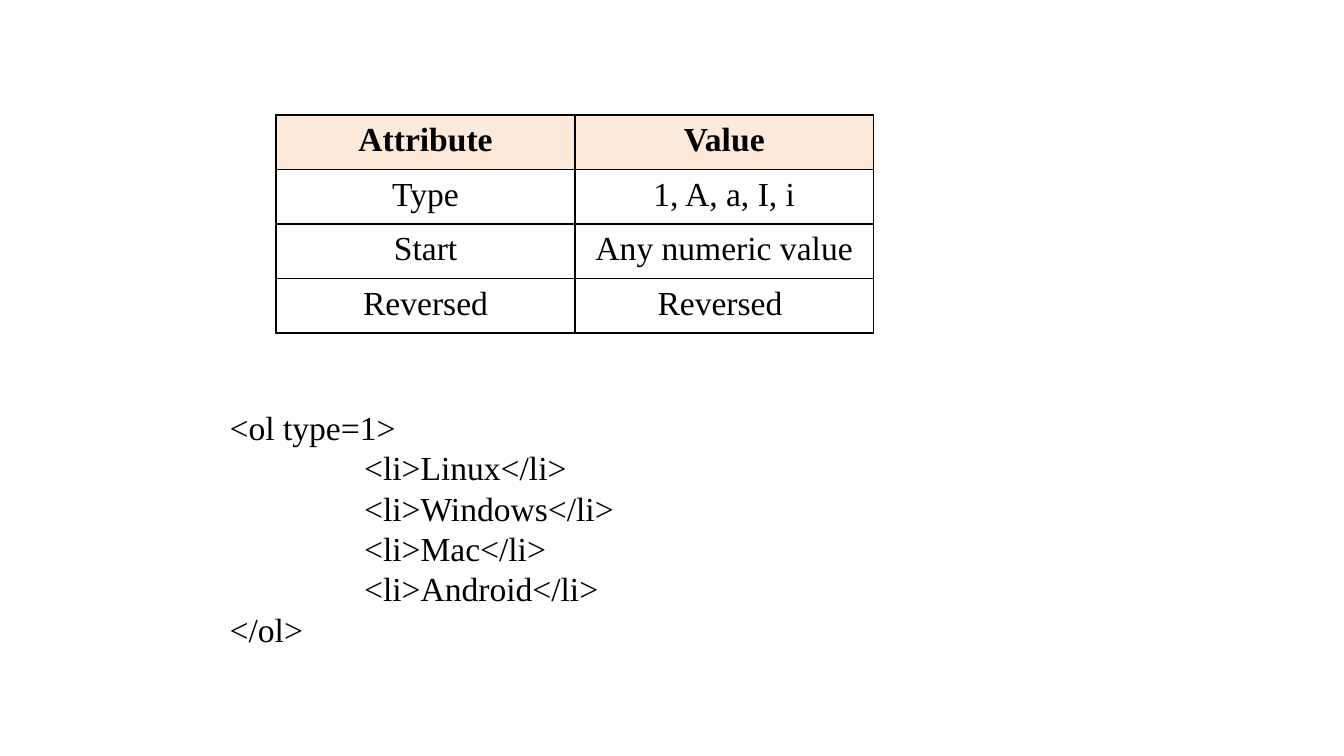
"""Build a slide on the attributes of ordered lists in HTML."""
import dataclasses

import lxml.etree
import pptx
import pptx.dml.color
import pptx.enum.text
import pptx.oxml.ns
import pptx.util


@dataclasses.dataclass(frozen=True)
class Theme:
    """Hold the colours, font and sizes of the slide."""
    font: str = "Times New Roman"
    size: int = 18
    ink: str = "000000"
    header: str = "FDEADA"
    border: float = 1


THEME = Theme()
ATTRIBUTES = [
    ("Attribute", "Value"),
    ("Type", "1, A, a, I, i"),
    ("Start", "Any numeric value"),
    ("Reversed", "Reversed "),
]
CODE = """<ol type=1>
\t<li>Linux</li>
\t<li>Windows</li>
\t<li>Mac</li>
\t<li>Android</li>
</ol>"""


def add_element(parent, tag, **attributes):
    """Append an XML element and return it."""
    return lxml.etree.SubElement(parent, pptx.oxml.ns.qn(tag), attributes)


def format_paragraph(paragraph, bold=False):
    """Give every run of a paragraph the theme's type."""
    for span in paragraph.runs:
        span.font.name = THEME.font
        span.font.size = pptx.util.Pt(THEME.size)
        span.font.bold = bold
        span.font.color.rgb = pptx.dml.color.RGBColor.from_string(THEME.ink)


def add_borders(cell):
    """Draw a solid line on all four sides of a cell."""
    properties = cell._tc.get_or_add_tcPr()
    width = str(pptx.util.Pt(THEME.border))
    for side in ("a:lnL", "a:lnR", "a:lnT", "a:lnB"):
        line = add_element(properties, side, w=width)
        add_element(add_element(line, "a:solidFill"), "a:srgbClr", val=THEME.ink)


def format_cell(cell, text, is_header):
    """Fill in one centred table cell."""
    cell.text_frame.text = text
    paragraph = cell.text_frame.paragraphs[0]
    paragraph.alignment = pptx.enum.text.PP_ALIGN.CENTER
    format_paragraph(paragraph, bold=is_header)
    add_borders(cell)
    if is_header:
        cell.fill.solid()
        cell.fill.fore_color.rgb = pptx.dml.color.RGBColor.from_string(THEME.header)
    else:
        cell.fill.background()


def add_attribute_table(slide, rows, left, top, column_width, row_height):
    """Add a bordered table with a tinted header row."""
    columns = len(rows[0])
    frame = slide.shapes.add_table(
        len(rows), columns, pptx.util.Pt(left), pptx.util.Pt(top),
        pptx.util.Pt(column_width * columns), pptx.util.Pt(row_height * len(rows)))
    table = frame.table
    table.horz_banding = False
    table.first_row = False
    for row, texts in enumerate(rows):
        for column, text in enumerate(texts):
            format_cell(table.cell(row, column), text, is_header=row == 0)


def add_code(slide, code, left, top, width, height, tab):
    """Add a text box of code with one tab stop."""
    box = slide.shapes.add_textbox(*map(pptx.util.Pt, (left, top, width, height)))
    frame = box.text_frame
    frame.word_wrap = True
    frame.auto_size = pptx.enum.text.MSO_AUTO_SIZE.SHAPE_TO_FIT_TEXT
    frame.text = code
    for paragraph in frame.paragraphs:
        stops = add_element(paragraph._p.get_or_add_pPr(), "a:tabLst")
        add_element(stops, "a:tab", pos=str(pptx.util.Pt(tab)), algn="l")
        format_paragraph(paragraph)


def main():
    """Build and save the deck."""
    deck = pptx.Presentation()
    deck.slide_width = pptx.util.Pt(720)
    deck.slide_height = pptx.util.Pt(405)
    slide = deck.slides.add_slide(deck.slide_layouts[6])
    add_attribute_table(slide, ATTRIBUTES, left=148, top=61.7,
                        column_width=160, row_height=29.2)
    add_code(slide, CODE, left=116, top=214.5, width=360, height=138, tab=72)
    deck.save("out.pptx")


if __name__ == "__main__":
    main()
